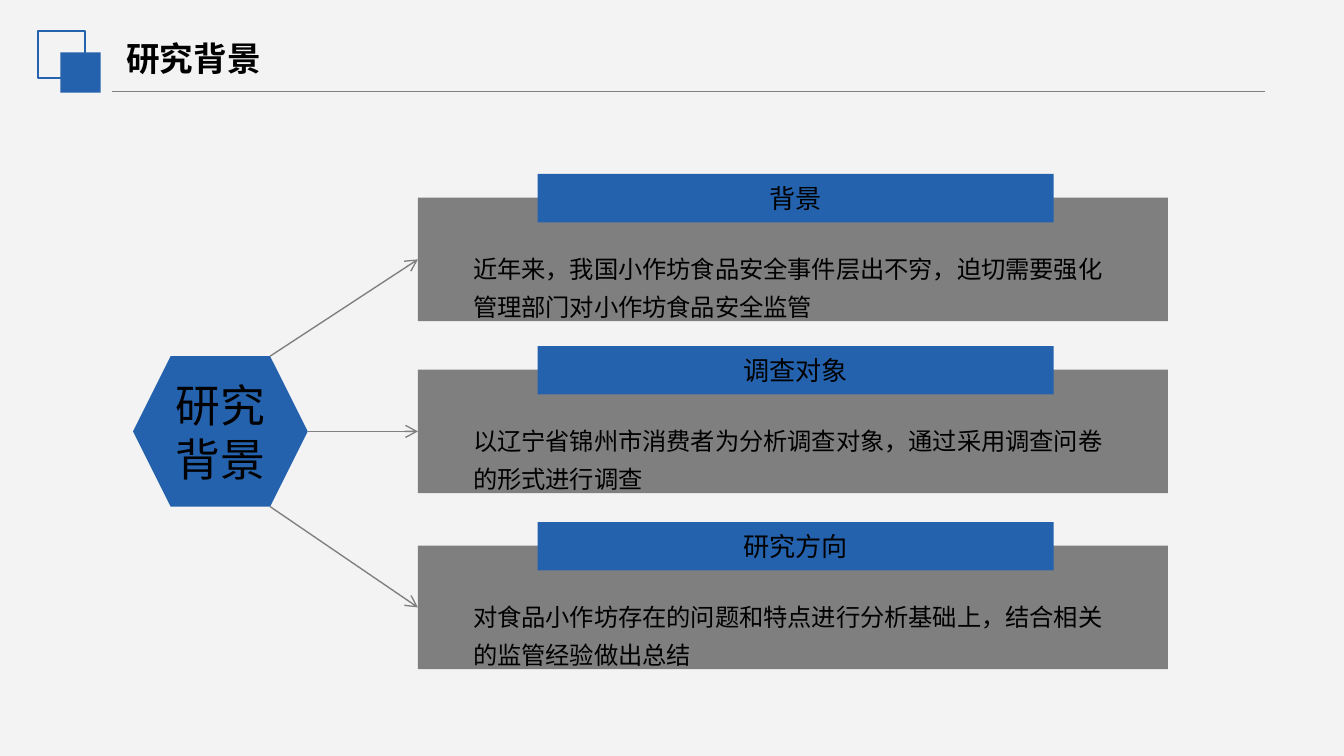
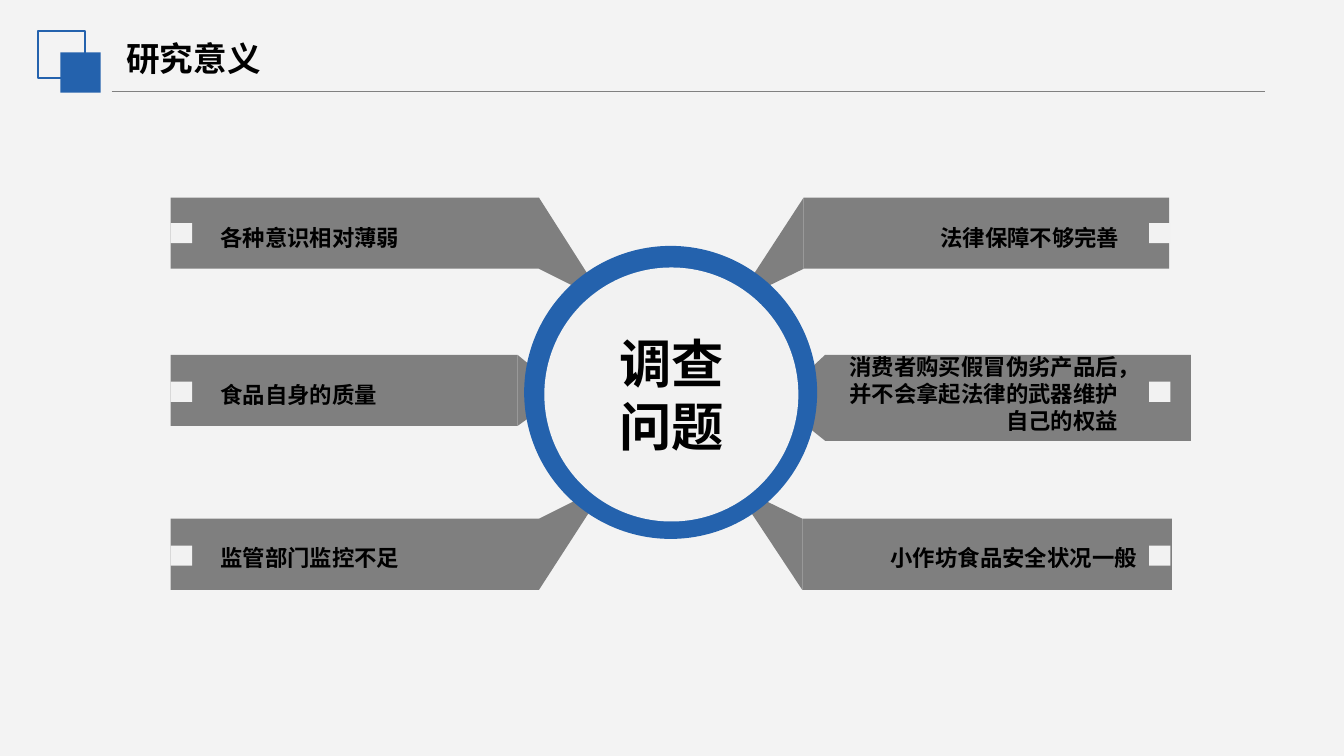
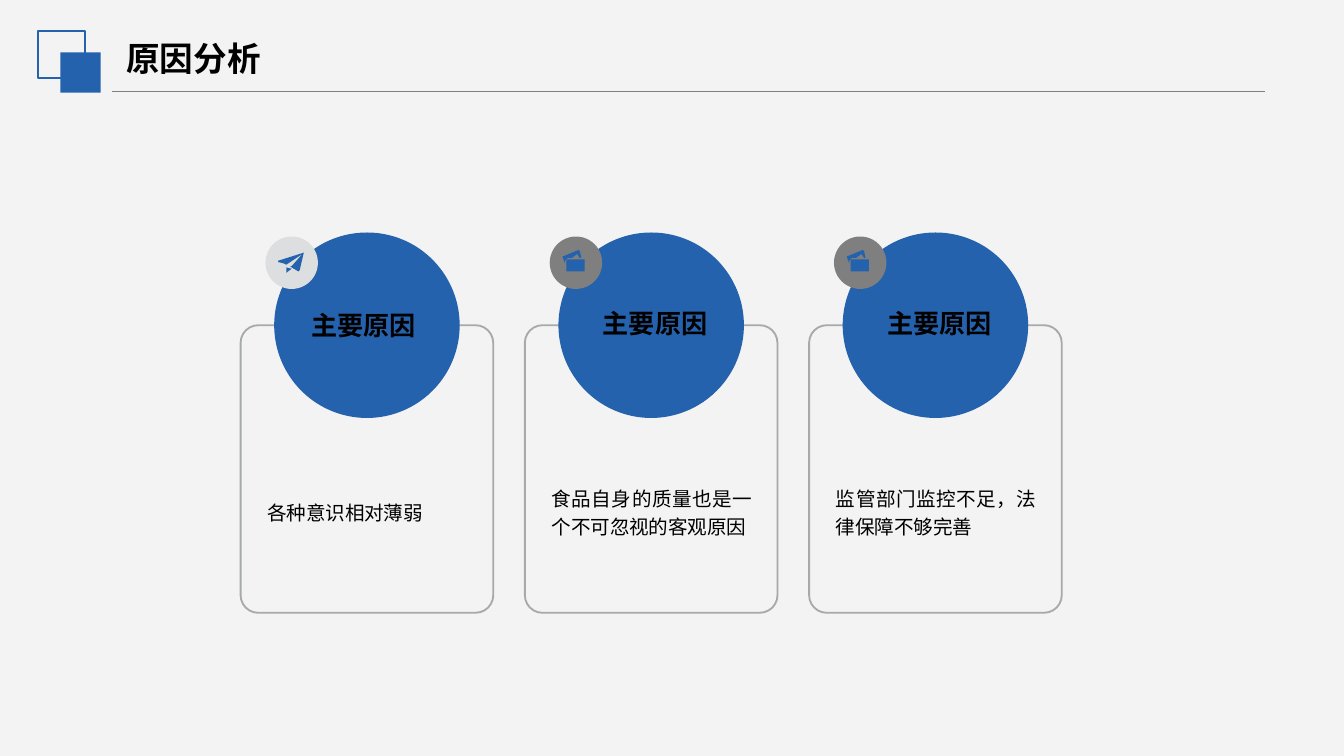
import lxml.etree
import pptx
import pptx.dml.color
import pptx.enum.shapes
import pptx.enum.text
import pptx.oxml.ns
import pptx.util

BLUE, GREY, RULE, EDGE = "2462AD", "7F7F7F", "808080", "A6AAA9"
PAPER, HOLE, PALE, INK = "F3F3F3", "F2F2F2", "DCDEE0", "000000"
CJK = "Noto Sans CJK SC"
ALIGN = pptx.enum.text.PP_ALIGN
ANCHOR = pptx.enum.text.MSO_ANCHOR
SHAPE = pptx.enum.shapes.MSO_SHAPE
COLUMNS, ROWS = 100, 56.25
SNUG = (0.8, 0.4)


def cells(count):
    """Turn a count of grid cells into a length."""
    return pptx.util.Inches(count * 10 / COLUMNS)


def paint(fill, colour):
    """Fill with a hex colour, or clear the fill when there is none."""
    if colour is None:
        fill.background()
    else:
        fill.solid()
        fill.fore_color.rgb = pptx.dml.color.RGBColor.from_string(colour)


def add_tag(parent, tag, **attributes):
    """Append a DrawingML element."""
    return lxml.etree.SubElement(parent, pptx.oxml.ns.qn(tag), attributes)


def write(shape, words, size=12, font=CJK, bold=False, align=ALIGN.LEFT,
          anchor=ANCHOR.MIDDLE, inset=(1, 0.5), leading=None, before=None, grow=False):
    """Put formatted words into a shape."""
    frame = shape.text_frame
    frame.word_wrap = True
    frame.vertical_anchor = anchor
    frame.margin_left = frame.margin_right = cells(inset[0])
    frame.margin_top = frame.margin_bottom = cells(inset[1])
    if grow:
        frame.auto_size = pptx.enum.text.MSO_AUTO_SIZE.SHAPE_TO_FIT_TEXT
    paragraph = frame.paragraphs[0]
    paragraph.alignment = align
    if leading:
        paragraph.line_spacing = leading
    if before:
        paragraph.space_before = pptx.util.Pt(before)
    run = paragraph.add_run()
    run.text = words
    run.font.size = pptx.util.Pt(size)
    run.font.bold = bold
    paint(run.font.fill, INK)
    run.font.name = font
    add_tag(run._r.get_or_add_rPr(), "a:ea", typeface=CJK)


class Deck:
    """Holds the style, the presentation and the current slide."""

    def __init__(self):
        """Start an empty presentation on the grid."""
        self.show = pptx.Presentation()
        self.show.slide_width, self.show.slide_height = cells(COLUMNS), cells(ROWS)
        paint(self.show.slide_master.background.fill, PAPER)

    def start(self, title, font=CJK):
        """Add a slide with its title band."""
        self.shapes = self.show.slides.add_slide(self.show.slide_layouts[6]).shapes
        self.line((8.3, 6.8), (94.1, 6.8))
        self.block((2.8, 2.3, 3.5, 3.5), edge=BLUE)
        self.block((4.5, 3.9, 3, 3), BLUE)
        self.text((9.4, 2.2, 23.3, 4.2), title, size=18, bold=True, font=font, inset=(0, 0.5))

    def finish(self, shape, colour, edge=None):
        """Give a shape its fill and outline."""
        shape.shadow.inherit = False
        paint(shape.fill, colour)
        paint(shape.line.fill, edge)
        if edge:
            shape.line.width = pptx.util.Pt(1)
        return shape

    def block(self, box, colour=None, kind=SHAPE.RECTANGLE, edge=None):
        """Draw a preset shape."""
        return self.finish(self.shapes.add_shape(kind, *map(cells, box)), colour, edge)

    def outline(self, colour, *contours):
        """Draw a closed shape from one or more lists of points."""
        paths = [[(cells(x), cells(y)) for x, y in contour] for contour in contours]
        builder = self.shapes.build_freeform(*paths[0][0])
        builder.add_line_segments(paths[0][1:])
        for points in paths[1:]:
            builder.move_to(*points[0])
            builder.add_line_segments(points[1:])
        return self.finish(builder.convert_to_shape(), colour)

    def line(self, start, end, target=None):
        """Draw a thin rule, or an arrow to the left side of a target."""
        line = self.shapes.add_connector(
            pptx.enum.shapes.MSO_CONNECTOR.STRAIGHT, *map(cells, start + end))
        paint(line.line.fill, RULE)
        line.line.width = pptx.util.Pt(0.75)
        properties = line._element.spPr
        if target is not None:
            line.end_connect(target, 1)
            add_tag(properties.find(pptx.oxml.ns.qn("a:ln")), "a:tailEnd", type="arrow")
        add_tag(properties, "a:effectLst")

    def text(self, box, words, **style):
        """Place words in a box of their own."""
        write(self.shapes.add_textbox(*map(cells, box)), words, **style)


def background_slide(deck):
    """Show the research background and its three topics."""
    deck.start("研究背景")
    hub = deck.block((9.9, 26.5, 13, 11.2), BLUE, SHAPE.HEXAGON)
    write(hub, "研究背景", size=24, align=ALIGN.CENTER, inset=SNUG)
    topics = [
        (14.7, (20.1, 26.5), "背景",
         "近年来，我国小作坊食品安全事件层出不穷，迫切需要强化管理部门对小作坊食品安全监管"),
        (27.5, (22.9, 32.1), "调查对象",
         "以辽宁省锦州市消费者为分析调查对象，通过采用调查问卷的形式进行调查"),
        (40.6, (20.1, 37.7), "研究方向",
         "对食品小作坊存在的问题和特点进行分析基础上，结合相关的监管经验做出总结"),
    ]
    for top, corner, heading, detail in topics:
        panel = deck.block((31.1, top, 55.8, 9.2), GREY)
        deck.line(corner, (31.1, top + 4.6), panel)
        tab = deck.block((40, top - 1.75, 38.4, 3.6), BLUE)
        write(tab, heading, size=14, align=ALIGN.CENTER, inset=SNUG)
        deck.text((34.4, top + 3.15, 49.6, 6.2), detail, size=13, anchor=ANCHOR.TOP,
                  inset=SNUG, leading=1.3, grow=True)


def meaning_slide(deck):
    """Show six findings around the survey question."""
    deck.start("研究意义")
    upper, middle, lower = (14.7, 20), (26.4, 31.7), (43.9, 38.6)
    findings = [
        (12.7, 40.1, upper, [(44.3, 21.3), (43.7, 21.8)], 16.6, (16.4, 16.2, 21.4),
         "各种意识相对薄弱"),
        (12.7, 38.5, middle, [(41.3, 28.7), (41.3, 29.7)], 28.4, (16.4, 27.9, 21.4),
         "食品自身的质量"),
        (12.7, 40.1, lower, [(44.3, 37.4), (43.7, 36.8)], 40.6, (16.4, 40, 21.4),
         "监管部门监控不足"),
        (87, 59.8, upper, [(55.5, 21.3), (56.1, 21.8)], 16.6, (61.9, 16.2, 21.4),
         "法律保障不够完善"),
        (88.6, 61.4, (26.4, 32.8), [(58.4, 29.2), (58.4, 30.4)], 28.4, (61.8, 25.8, 21.4),
         "消费者购买假冒伪劣产品后，并不会拿起法律的武器维护自己的权益"),
        (87.2, 59.7, lower, [(55.4, 37.4), (56, 36.8)], 40.6, (61.9, 40, 22.7),
         "小作坊食品安全状况一般"),
    ]
    for outer, inner, (far, near), tip, notch, (left, top, width), finding in findings:
        on_left = outer < inner
        deck.block((min(outer, inner), min(far, near), abs(inner - outer), abs(near - far)), GREY)
        deck.outline(GREY, [(inner, far), *tip, (inner, near)])
        deck.block((12.7 if on_left else 85.5, notch, 1.6, 1.5), HOLE)
        deck.text((left, top, width, 3.1), finding, bold=True, anchor=ANCHOR.TOP,
                  align=ALIGN.LEFT if on_left else ALIGN.RIGHT, inset=(0, 0.5), before=2.4)
    deck.block((39, 18.3, 21.8, 21.8), BLUE, SHAPE.OVAL)
    core = deck.block((40.5, 19.9, 18.9, 18.9), HOLE, SHAPE.OVAL)
    write(core, "调查问题", size=28, bold=True, align=ALIGN.CENTER)


def plane_icon(deck, left):
    """Draw a paper plane on a card's badge."""
    wing = [(4.7, 18.8), (2.8, 19.4), (2.8, 19.5), (3.2, 19.6), (3.4, 19.7), (4.6, 18.9),
            (3.8, 19.8), (3.7, 19.8), (3.8, 19.9), (4.3, 20.2), (4.4, 20.1)]
    keel = [(3.4, 20.3), (3.8, 20), (3.4, 19.9)]
    deck.outline(BLUE, *[[(left + x, y) for x, y in part] for part in (wing, keel)])


def cards_icon(deck, left):
    """Draw two stacked cards on a card's badge."""
    back = [(4.2, 19.2), (4.1, 18.7), (4, 18.6), (2.8, 19.1), (3, 19.6), (3, 19.4),
            (3.2, 19.2), (3.5, 19.2), (3.9, 18.9), (4.1, 19.2)]
    deck.outline(BLUE, [(left + x, y) for x, y in back])
    deck.block((left + 3.1, 19.3, 1.35, 0.9), BLUE)


def causes_slide(deck):
    """Show three cards with the main causes."""
    deck.start("原因分析", font="Lato")
    first = dict(font="Calibri", inset=(1, 0.5))
    other = dict(font="Open Sans", inset=(0, 0))
    causes = [
        ("各种意识相对薄弱", PALE, plane_icon, first, (2.2, 13.9), None, (2.8, 2.1)),
        ("食品自身的质量也是一个不可忽视的客观原因", GREY, cards_icon, other,
         (3.2, 13), 0.9, (10, 10)),
        ("监管部门监控不足，法律保障不够完善", GREY, cards_icon, other,
         (3.2, 13), 0.9, (10, 10)),
    ]
    for index, (cause, badge, icon, style, (shift, width), leading, gaps) in enumerate(causes):
        left = 17.9 + 21.15 * index
        card = deck.block((left, 24.2, 18.8, 21.4), None, SHAPE.ROUNDED_RECTANGLE, EDGE)
        card.adjustments[0] = 0.07
        deck.block((left + 2.5, 17.3, 13.8, 13.8), BLUE, SHAPE.OVAL)
        deck.block((left + 1.85, 17.6, 3.9, 3.9), badge, SHAPE.OVAL)
        icon(deck, left)
        deck.text((left + shift, 21.85, width, 4.7), "主要原因", size=14, bold=True,
                  align=ALIGN.CENTER, leading=leading, before=gaps[0], **style)
        margin = style["inset"][0]
        deck.text((left + 2 - margin, 33.35, 14.9 + 2 * margin, 9.3), cause, size=10.5,
                  align=ALIGN.JUSTIFY, leading=1.2, before=gaps[1], **style)


def main():
    """Build the three slides and save them."""
    deck = Deck()
    background_slide(deck)
    meaning_slide(deck)
    causes_slide(deck)
    deck.show.save("out.pptx")


if __name__ == "__main__":
    main()
